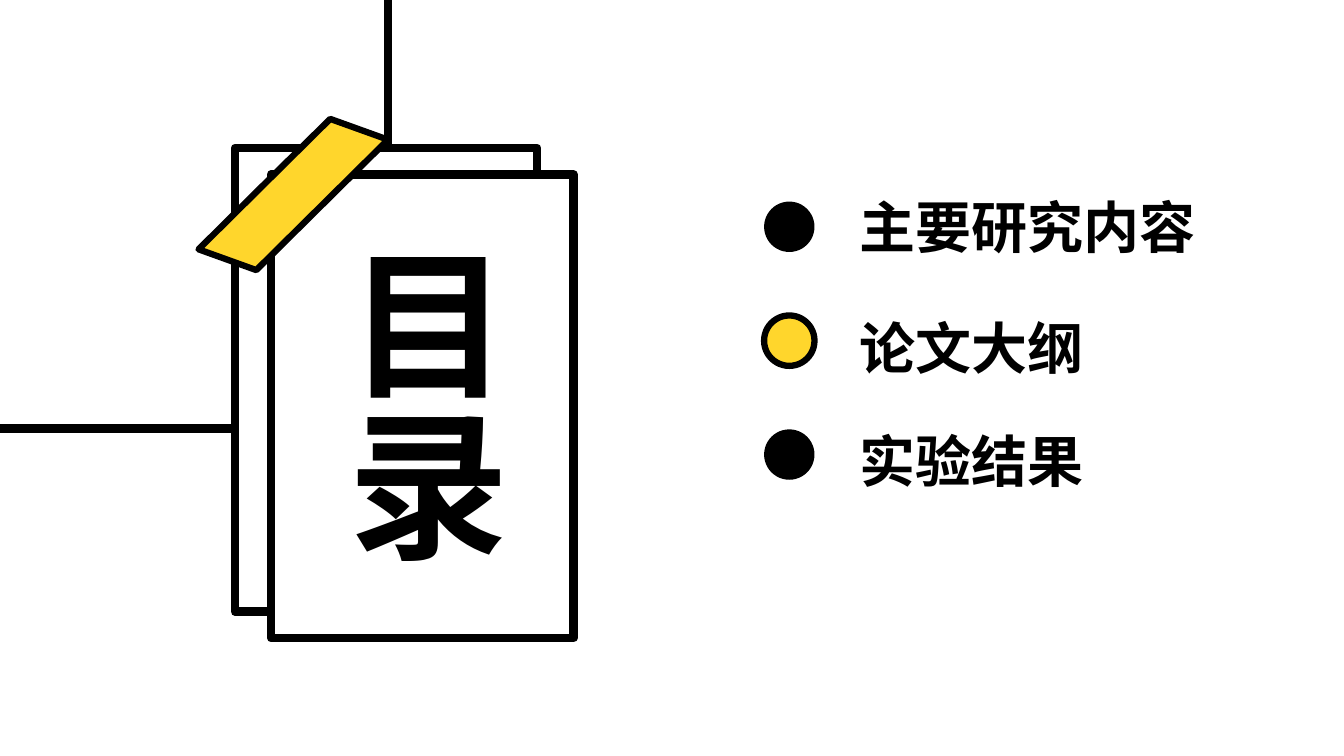
from dataclasses import dataclass
from typing import Optional

import lxml.etree
import pptx
import pptx.dml.color
import pptx.enum.shapes
import pptx.enum.text
import pptx.oxml.ns
import pptx.presentation
import pptx.shapes.autoshape
import pptx.slide
import pptx.util

Shape = pptx.shapes.autoshape.Shape
Slide = pptx.slide.Slide
Preset = pptx.enum.shapes.MSO_SHAPE
Alignment = pptx.enum.text.PP_ALIGN


@dataclass(frozen=True)
class Theme:
    ink: str = "000000"
    paper: str = "FFFFFF"
    accent: str = "FFD62C"
    font: str = "Noto Sans CJK SC"
    title_size: float = 115
    entry_size: float = 40
    heavy_line: float = 6
    medium_line: float = 4.5


@dataclass(frozen=True)
class Box:
    left: float
    top: float
    width: float
    height: float


@dataclass(frozen=True)
class Entry:
    text: str
    text_top: float
    text_width: float
    fill: str
    line_width: Optional[float] = None


THEME = Theme()
CARD_WIDTH, CARD_HEIGHT = 216, 331.2
CARDS = [
    Box(167.8, 105.8, CARD_WIDTH, CARD_HEIGHT),
    Box(193.7, 124.6, CARD_WIDTH, CARD_HEIGHT),
]
TAPE = Box(159.1, 79.2, 100.8, 119.5)
TAPE_ROTATION = 19.8
TAPE_SLANT = 0.565
TITLE = Box(221, 167, 154.1, 259.2)

DOT_LEFT, DOT_TOP, DOT_SIZE, DOT_PITCH = 545.8, 144, 36, 81.36
ENTRY_LEFT, ENTRY_HEIGHT = 607, 55.4
ENTRIES = [
    Entry("主要研究内容", 133.9, 279.4, THEME.ink),
    Entry("论文大纲", 220.3, 279.4, THEME.accent, THEME.medium_line),
    Entry("实验结果", 301, 193.7, THEME.ink),
]


def color(value: str) -> pptx.dml.color.RGBColor:
    return pptx.dml.color.RGBColor.from_string(value)


def lengths(*values: float) -> list[pptx.util.Length]:
    return [pptx.util.Pt(value) for value in values]


def add_figure(slide: Slide, preset: Preset, box: Box, fill: str,
               line_width: Optional[float] = None) -> Shape:
    shape = slide.shapes.add_shape(
        preset, *lengths(box.left, box.top, box.width, box.height))
    shape.shadow.inherit = False
    shape.fill.solid()
    shape.fill.fore_color.rgb = color(fill)
    if line_width is None:
        shape.line.fill.background()
    else:
        shape.line.color.rgb = color(THEME.ink)
        shape.line.width = pptx.util.Pt(line_width)
    return shape


def add_line(slide: Slide, start_x: float, start_y: float,
             end_x: float, end_y: float) -> None:
    connector = slide.shapes.add_connector(
        pptx.enum.shapes.MSO_CONNECTOR.STRAIGHT,
        *lengths(start_x, start_y, end_x, end_y))
    connector.line.color.rgb = color(THEME.ink)
    connector.line.width = pptx.util.Pt(THEME.heavy_line)
    lxml.etree.SubElement(connector._element.spPr,
                          pptx.oxml.ns.qn("a:effectLst"))


def add_text(slide: Slide, box: Box, text: str, size: float,
             alignment: Alignment = Alignment.LEFT) -> Shape:
    shape = slide.shapes.add_textbox(
        *lengths(box.left, box.top, box.width, box.height))
    shape.text_frame.word_wrap = True
    paragraph = shape.text_frame.paragraphs[0]
    paragraph.alignment = alignment
    run = paragraph.add_run()
    run.text = text
    run.font.name = THEME.font
    run.font.size = pptx.util.Pt(size)
    run.font.bold = True
    run.font.color.rgb = color(THEME.ink)
    east_asian = lxml.etree.SubElement(run.font._element,
                                       pptx.oxml.ns.qn("a:ea"))
    east_asian.set("typeface", THEME.font)
    return shape


def add_title_card(slide: Slide) -> None:
    add_line(slide, 322.6, 306, 0, 306)
    for card in CARDS:
        add_figure(slide, Preset.RECTANGLE, card, THEME.paper, THEME.heavy_line)
    tape = add_figure(slide, Preset.PARALLELOGRAM, TAPE, THEME.accent,
                      THEME.medium_line)
    tape.adjustments[0] = TAPE_SLANT
    tape.rotation = TAPE_ROTATION
    title = add_text(slide, TITLE, "目录", THEME.title_size, Alignment.JUSTIFY)
    title.text_frame._txBody.bodyPr.set("vert", "eaVert")
    add_line(slide, 277.2, 0, 277.2, 105.8)


def add_entries(slide: Slide) -> None:
    for index, entry in enumerate(ENTRIES):
        dot = Box(DOT_LEFT, DOT_TOP + index * DOT_PITCH, DOT_SIZE, DOT_SIZE)
        add_figure(slide, Preset.OVAL, dot, entry.fill, entry.line_width)
        label = Box(ENTRY_LEFT, entry.text_top, entry.text_width, ENTRY_HEIGHT)
        add_text(slide, label, entry.text, THEME.entry_size)


def main() -> None:
    presentation = pptx.Presentation()
    presentation.slide_width, presentation.slide_height = lengths(960, 540)
    slide = presentation.slides.add_slide(presentation.slide_layouts[6])
    slide.background.fill.solid()
    slide.background.fill.fore_color.rgb = color(THEME.paper)
    add_title_card(slide)
    add_entries(slide)
    presentation.save("out.pptx")


if __name__ == "__main__":
    main()
